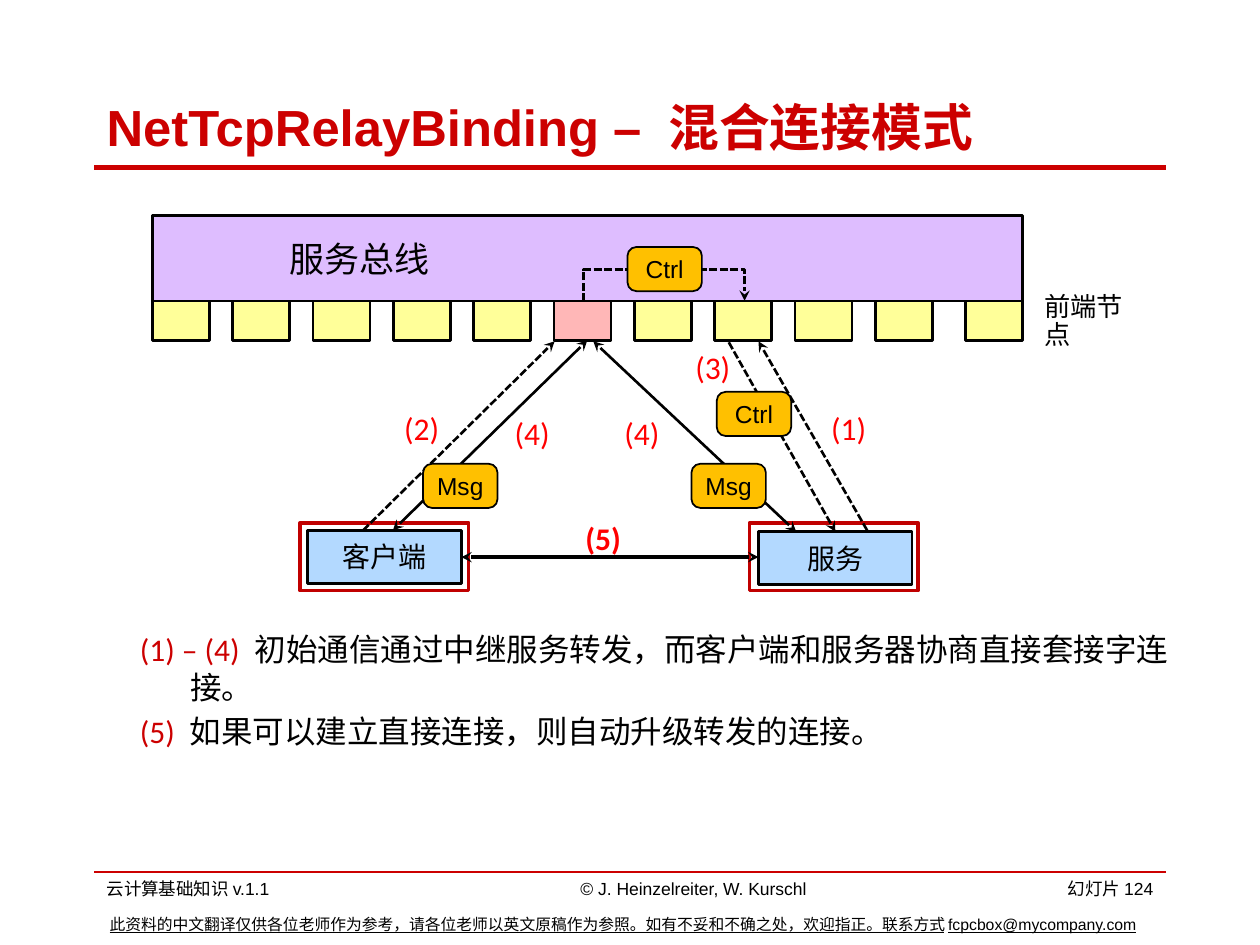
from lxml.etree import SubElement
from pptx import Presentation
from pptx.dml.color import RGBColor
from pptx.enum.dml import MSO_LINE
from pptx.enum.shapes import MSO_CONNECTOR as Link, MSO_SHAPE as Shape
from pptx.enum.text import MSO_ANCHOR as Anchor, PP_ALIGN as Align
from pptx.oxml.ns import qn
from pptx.util import Cm, Pt

COLORS = {
    "red": "CC0000", "frame": "C00000", "step": "FF0000", "black": "000000",
    "bus": "DEBDFF", "node": "FFFF99", "relay": "FFB7B7",
    "peer": "B3D9FF", "tag": "FFC000",
}

# Content; places are left, top, width, height in cm
TITLE = "NetTcpRelayBinding – 混合连接模式"
NOTES = [
    ("(1) – (4) ", "初始通信通过中继服务转发，而客户端和服务器协商直接套接字连接。"),
    ("(5) ", "如果可以建立直接连接，则自动升级转发的连接。"),
]
FOOTERS = [  # text, place, alignment, size, wraps, underlined
    ("云计算基础知识v.1.1", (1.9, 17.58, 7.52, 0.68), Align.LEFT, 10, True, False),
    ("© J. Heinzelreiter, W. Kurschl", (11.4, 17.58, 5.16, 0.68), Align.CENTER, 10, False, False),
    ("幻灯片124", (21.21, 17.58, 2.29, 0.66), Align.RIGHT, 10, False, False),
    ("此资料的中文翻译仅供各位老师作为参考，请各位老师以英文原稿作为参照。如有不妥和不确之处，"
     "欢迎指正。联系方式fcpcbox@mycompany.com",
     (1.96, 18.31, 21.87, 0.64), Align.LEFT, 9, True, True),
]
RULES = [(17.58, 1), (3.38, 3)]  # top, weight
BUS = (3.07, 4.34, 17.55, 1.73)
NODE_COUNT, RELAY_NODE, NODE_PITCH = 11, 5, 1.62
NODE_W, NODE_H = 1.15, 0.79
PEERS = [("客户端", 6.2, 10.69), ("服务", 15.29, 10.72)]
PEER_W, PEER_H = 3.1, 1.07
FRAME_LEFTS = [6.05, 15.11]
ARROWS = [  # from, to, dashed, head at start, head at end, weight
    ((7.92, 10.69), (11.84, 6.86), False, True, True, 1.5),
    ((7.32, 10.69), (11.18, 6.88), True, False, True, 1.5),
    ((17.48, 10.69), (15.29, 6.88), True, False, True, 1.5),
    ((16.84, 10.72), (14.68, 6.88), True, True, False, 1.5),
    ((16.05, 10.72), (11.96, 6.88), False, True, True, 1.5),
    ((9.3, 11.23), (15.29, 11.23), False, True, True, 2),
]
TAGS = [("Msg", 8.53, 9.35), ("Msg", 13.94, 9.35), ("Ctrl", 12.65, 4.98), ("Ctrl", 14.45, 7.9)]
STEPS = [("(2)", 7.85, 8.31), ("(1)", 16.46, 8.31), ("(3)", 13.72, 7.09),
         ("(4)", 10.08, 8.42), ("(4)", 12.29, 8.42), ("(5)", 11.51, 10.52)]

prs = Presentation()
prs.slide_width, prs.slide_height = Cm(25.4), Cm(19.05)
slide = prs.slides.add_slide(prs.slide_layouts[6])
shapes = slide.shapes


def rgb(name):
    return RGBColor.from_string(COLORS[name])


def style(font, size, face, color="black", bold=False, underline=False):
    font.size, font.name, font.bold = Pt(size), face, bold
    font.underline = underline
    font.color.rgb = rgb(color)


def write(shape, text, size, face, color="black", align=Align.LEFT,
          anchor=Anchor.MIDDLE, wrap=True, bold=False, underline=False):
    frame = shape.text_frame
    frame.text = text
    frame.word_wrap, frame.vertical_anchor = wrap, anchor
    paragraph = frame.paragraphs[0]
    paragraph.alignment = align
    style(paragraph.runs[0].font, size, face, color, bold, underline)
    return paragraph


def textbox(place):
    return shapes.add_textbox(*map(Cm, place))


def box(place, fill, line="black", weight=1.5, kind=Shape.RECTANGLE):
    shape = shapes.add_shape(kind, *map(Cm, place))
    shape.shadow.inherit = False
    if fill:
        shape.fill.solid()
        shape.fill.fore_color.rgb = rgb(fill)
    else:
        shape.fill.background()
    shape.line.color.rgb = rgb(line)
    shape.line.width = Pt(weight)
    return shape


def connect(start, end, weight, color="black", dashed=False,
            start_head=False, end_head=False, kind=Link.STRAIGHT):
    link = shapes.add_connector(kind, *map(Cm, start + end))
    link.line.color.rgb = rgb(color)
    link.line.width = Pt(weight)
    if dashed:
        link.line.dash_style = MSO_LINE.SQUARE_DOT
    outline = link.line._get_or_add_ln()
    for tag, shown in (("a:headEnd", start_head), ("a:tailEnd", end_head)):
        if shown:
            SubElement(outline, qn(tag), type="stealth")
    SubElement(link._element.spPr, qn("a:effectLst"))
    return link


# Title and rules
for top, weight in RULES:
    connect((1.9, top), (23.5, top), weight, "red")
write(textbox((1.9, 1.7, 22.76, 1.7)), TITLE, 29, "Arial", "red", bold=True)

# Frames around the peers, then the message paths
for left in FRAME_LEFTS:
    box((left, 10.54, 3.4, 1.37), None, "frame", 2)
for start, end, dashed, start_head, end_head, weight in ARROWS:
    connect(start, end, weight, "black", dashed, start_head, end_head)

# Service bus with its front-end nodes
bus_label = write(box(BUS, "bus"), "服务总线", 20, "Calibri")
bus_label._p.get_or_add_pPr().set("marL", str(Cm(2.52)))
bus_left, bus_top, bus_w, bus_h = BUS
node_top = bus_top + bus_h
node_lefts = [bus_left + i * NODE_PITCH for i in range(NODE_COUNT - 1)]
node_lefts.append(bus_left + bus_w - NODE_W)
for i, left in enumerate(node_lefts):
    box((left, node_top, NODE_W, NODE_H), "relay" if i == RELAY_NODE else "node")
write(textbox((20.8, 5.87, 2.54, 1.24)), "前端节点", 15, "Calibri", wrap=False).line_spacing = 0.9

# Client and service
for name, left, top in PEERS:
    write(box((left, top, PEER_W, PEER_H), "peer"), name, 16, "Calibri",
          align=Align.CENTER, wrap=False)

# Control path inside the bus: up, across and down between two nodes
path_left, path_right, rise, depth = 11.76, 15.01, 0.64, 0.01
span = path_right - path_left
control = connect((path_left, node_top), (path_right, node_top), 1.5, dashed=True,
                  end_head=True, kind=Link.ELBOW)
control.left = Cm((path_left + path_right - depth) / 2)
control.top = Cm(node_top - span / 2)
control.width, control.height = Cm(depth), Cm(span)
control_props = control._element.spPr
for key, value in (("rot", "5400000"), ("flipH", "1"), ("flipV", "1")):
    control_props.find(qn("a:xfrm")).set(key, value)
SubElement(control_props.find(qn("a:prstGeom")).find(qn("a:avLst")), qn("a:gd"),
           name="adj1", fmla=f"val {round(rise / depth * 100000)}")

# Message tags and step numbers
for text, left, top in TAGS:
    tag = box((left, top, 1.5, 0.89), "tag", weight=1, kind=Shape.ROUNDED_RECTANGLE)
    tag.adjustments[0] = 0.2
    tag.text_frame.margin_left = tag.text_frame.margin_right = 0
    write(tag, text, 14, "Arial", align=Align.CENTER)
for text, left, top in STEPS:
    write(textbox((left, top, 1.3, 0.73)), text, 18, "Calibri", "step", Align.CENTER,
          wrap=False, bold=text == "(5)").line_spacing = 0.9

# Explanation of the steps
notes_frame = textbox((2.57, 12.57, 21.59, 3.76)).text_frame
notes_frame.word_wrap = True
for i, (steps, explanation) in enumerate(NOTES):
    note = notes_frame.add_paragraph() if i else notes_frame.paragraphs[0]
    if i:
        note.space_before = Pt(3.6)
    indent = note._p.get_or_add_pPr()
    indent.set("marL", str(Cm(1.02)))
    indent.set("indent", str(-Cm(1.02)))
    for text, color in ((steps, "red"), (explanation, "black")):
        run = note.add_run()
        run.text = text
        style(run.font, 18, "Calibri", color)

# Footers
for text, place, align, size, wrap, underline in FOOTERS:
    footer = textbox(place)
    if align == Align.RIGHT:
        footer.text_frame.margin_left = 0
    write(footer, text, size, "Arial", align=align, anchor=Anchor.TOP,
          wrap=wrap, underline=underline)

prs.save("out.pptx")
